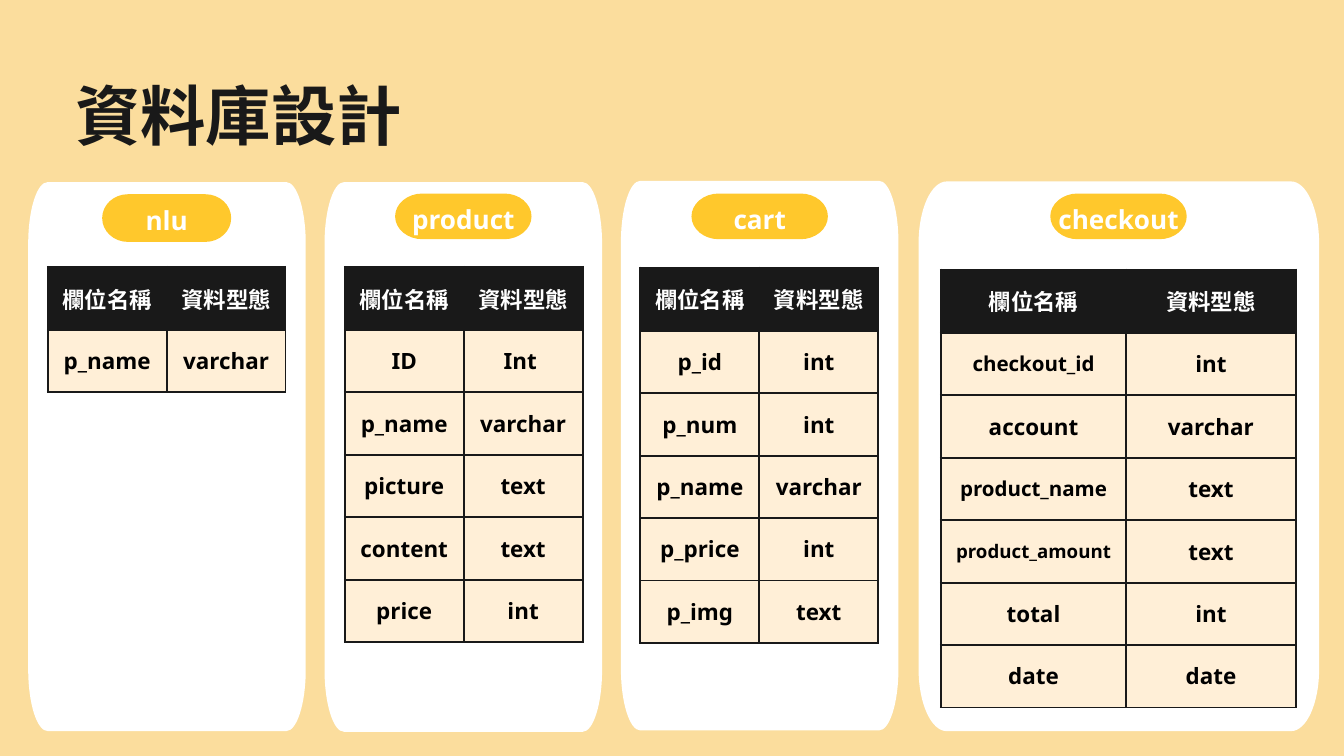
from lxml import etree
from pptx import Presentation, util as u
from pptx.dml.color import RGBColor
from pptx.enum import text
from pptx.oxml import ns

PX = 9144  # 100 px to the inch
LATIN, CJK = "Noto Sans", "Noto Sans CJK SC"
COLORS = {"sand": "FBDD9D", "white": "FFFFFF", "amber": "FFC82C",
          "ink": "191919", "black": "000000", "cream": "FFEFD7"}

TITLE = "資料庫設計"
HEADER = ("欄位名稱", "資料型態")
# panel and badge: left, top, width, height; grid: left, top
TABLES = [
    {"name": "nlu", "panel": (42, 271, 413, 817), "badge": (152, 289, 192, 71),
     "grid": (71, 397), "columns": (177, 177),
     "fields": [("p_name", "varchar")]},
    {"name": "product", "panel": (483, 271, 413, 818), "badge": (588, 288, 203, 68),
     "grid": (513, 397), "columns": (177, 177),
     "fields": [("ID", "Int "), ("p_name", "varchar"), ("picture", "text"),
                ("content", "text"), ("price", "int")]},
    {"name": "cart", "panel": (924, 269, 413, 818), "badge": (1029, 288, 203, 68),
     "grid": (953, 398), "columns": (177, 177),
     "fields": [("p_id", "int"), ("p_num", "int"), ("p_name", "varchar"),
                ("p_price", "int"), ("p_img", "text")]},
    {"name": "checkout", "panel": (1367, 270, 596, 818), "badge": (1563, 288, 203, 68),
     "grid": (1400, 401), "columns": (276, 252),
     "fields": [("checkout_id", "int"), ("account", "varchar"), ("product_name", "text"),
                ("product_amount", "text"), ("total", "int"), ("date", "date")]},
]
SMALLER = {"checkout_id": 22, "product_name": 22, "product_amount": 20}
HEADER_HEIGHT, ROW_HEIGHT, CELL_INSET, BADGE_INSET = 94, 93, 21, 6
PANEL_CORNER, BADGE_CORNER = (0.07, 0.112), (0.2, 0.5)  # share of width, of height
ROUNDNESS = 0.55  # control points of a quarter ellipse


def rgb(name):
    return RGBColor.from_string(COLORS[name])


def write(frame, words, size, color, font=LATIN, spacing=None, align=text.PP_ALIGN.CENTER):
    paragraph = frame.paragraphs[0]
    paragraph.text = words
    paragraph.alignment = align
    if spacing:
        paragraph.line_spacing = u.Pt(spacing)
    style = paragraph.font
    style.size, style.bold, style.name = u.Pt(size), True, font
    style.color.rgb = rgb(color)
    latin = paragraph._p.pPr.find(ns.qn("a:defRPr")).find(ns.qn("a:latin"))
    latin.addnext(etree.Element(ns.qn("a:ea"), typeface=CJK))


def set_insets(box, inset):
    box.margin_left = box.margin_right = inset * PX
    box.margin_top = box.margin_bottom = inset * PX


def bend(segment, start, from_horizontal):
    """Turn a line segment into a quarter ellipse."""
    end = segment[0]
    x0, y0, x1, y1 = (int(point.get(axis)) for point in (start, end) for axis in "xy")
    corner = (x1, y0) if from_horizontal else (x0, y1)
    segment.tag = ns.qn("a:cubicBezTo")
    for px, py in ((x0, y0), (x1, y1)):
        control = etree.Element(ns.qn("a:pt"),
                                x=str(round(px + ROUNDNESS * (corner[0] - px))),
                                y=str(round(py + ROUNDNESS * (corner[1] - py))))
        end.addprevious(control)


def add_soft_box(slide, box, corner, color):
    """Rectangle whose corners are quarter ellipses."""
    left, top, width, height = (side * PX for side in box)
    right, bottom = left + width, top + height
    rx, ry = round(corner[0] * width), round(corner[1] * height)
    points = [(right - rx, bottom), (left + rx, bottom), (left, bottom - ry),
              (left, top + ry), (left + rx, top), (right - rx, top),
              (right, top + ry), (right, bottom - ry)]
    builder = slide.shapes.build_freeform(*points[0])
    builder.add_line_segments(points[1:] + points[:1], close=True)
    shape = builder.convert_to_shape()
    segments = list(shape._element.xpath(".//a:path")[0])
    for i in (2, 4, 6, 8):
        bend(segments[i], segments[i - 1][-1], from_horizontal=i in (2, 6))
    shape.shadow.inherit = False
    shape.fill.solid()
    shape.fill.fore_color.rgb = rgb(color)
    shape.line.fill.background()
    return shape


def add_borders(cell):
    properties = cell._tc.get_or_add_tcPr()
    for side in ("lnL", "lnR", "lnT", "lnB"):
        line = etree.SubElement(properties, ns.qn("a:" + side), w=str(u.Pt(2.31)))
        fill = etree.SubElement(line, ns.qn("a:solidFill"))
        etree.SubElement(fill, ns.qn("a:srgbClr"), val=COLORS["ink"])


def add_grid(slide, position, columns, fields):
    rows = [HEADER, *fields]
    heights = [HEADER_HEIGHT] + [ROW_HEIGHT] * len(fields)
    left, top = position
    table = slide.shapes.add_table(len(rows), len(columns), left * PX, top * PX,
                                   sum(columns) * PX, sum(heights) * PX).table
    table.horz_banding = False
    for column, width in zip(table.columns, columns):
        column.width = width * PX
    for r, (row, height) in enumerate(zip(rows, heights)):
        table.rows[r].height = height * PX
        for c, words in enumerate(row):
            cell = table.cell(r, c)
            set_insets(cell, CELL_INSET)
            cell.vertical_anchor = text.MSO_ANCHOR.MIDDLE
            add_borders(cell)
            cell.fill.solid()
            cell.fill.fore_color.rgb = rgb("cream" if r else "ink")
            write(cell.text_frame, words, SMALLER.get(words, 24),
                  "black" if r else "white", LATIN if r else CJK)


def main():
    deck = Presentation()
    deck.slide_width, deck.slide_height = 2000 * PX, 1125 * PX
    slide = deck.slides.add_slide(deck.slide_layouts[6])
    slide.background.fill.solid()
    slide.background.fill.fore_color.rgb = rgb("sand")

    title = slide.shapes.add_textbox(112 * PX, 112 * PX, 1444 * PX, 111 * PX).text_frame
    title.word_wrap = True
    set_insets(title, 0)
    write(title, TITLE, 70, "ink", CJK, spacing=84, align=text.PP_ALIGN.LEFT)

    for table in TABLES:
        add_soft_box(slide, table["panel"], PANEL_CORNER, "white")
        badge = add_soft_box(slide, table["badge"], BADGE_CORNER, "amber").text_frame
        badge.vertical_anchor = text.MSO_ANCHOR.TOP
        badge.word_wrap = True
        set_insets(badge, BADGE_INSET)
        write(badge, table["name"], 28, "white", spacing=40)
        add_grid(slide, table["grid"], table["columns"], table["fields"])

    deck.save("out.pptx")


if __name__ == "__main__":
    main()
